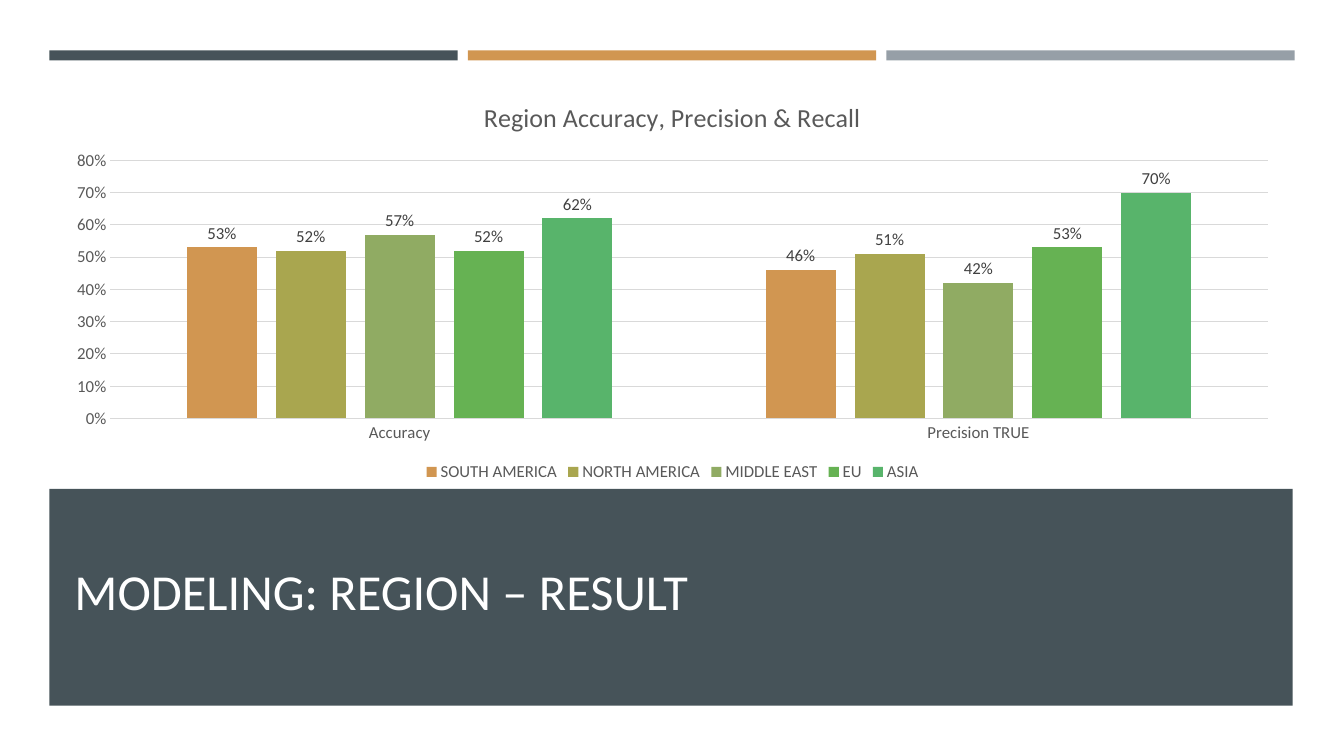
"""Build the slide with the region accuracy and precision chart."""
from dataclasses import dataclass

from pptx import Presentation
from pptx.chart.data import CategoryChartData
from pptx.dml.color import RGBColor
from pptx.enum.chart import XL_CHART_TYPE, XL_LABEL_POSITION, XL_LEGEND_POSITION, XL_TICK_MARK
from pptx.enum.shapes import MSO_SHAPE
from pptx.enum.text import MSO_ANCHOR
from pptx.util import Inches, Pt

RECTANGLE = MSO_SHAPE.RECTANGLE
BOTTOM = MSO_ANCHOR.BOTTOM
COLUMNS = XL_CHART_TYPE.COLUMN_CLUSTERED
OUTSIDE_END = XL_LABEL_POSITION.OUTSIDE_END
LEGEND_BOTTOM = XL_LEGEND_POSITION.BOTTOM
NO_TICK = XL_TICK_MARK.NONE

FONT = "Calibri"
SLATE, ORANGE, SILVER, WHITE = "465359", "D19651", "969FA7", "FFFFFF"
TEXT_GREY, LABEL_GREY, LINE_GREY = "595959", "404040", "D9D9D9"
PAGE_WIDTH, PAGE_HEIGHT = 13.33, 7.5
MARGIN, STRIPE_WIDTH, STRIPE_GAP = 0.49, 4.05, 0.1
PERCENT = "0%"


@dataclass(frozen=True)
class Area:
    left: float
    top: float
    width: float
    height: float

    def lengths(self) -> tuple:
        return tuple(Inches(side) for side in (self.left, self.top, self.width, self.height))


@dataclass(frozen=True)
class Region:
    name: str
    color: str
    values: tuple


CATEGORIES = ("Accuracy", "Precision TRUE")
REGIONS = (
    Region("SOUTH AMERICA", ORANGE, (0.53, 0.46)),
    Region("NORTH AMERICA", "A9A64F", (0.52, 0.51)),
    Region("MIDDLE EAST", "90AB63", (0.57, 0.42)),
    Region("EU", "66B253", (0.52, 0.53)),
    Region("ASIA", "58B46B", (0.62, 0.7)),
)


def rgb(color: str) -> RGBColor:
    return RGBColor.from_string(color)


def style_font(font, size: float, color: str) -> None:
    font.name = FONT
    font.size = Pt(size)
    font.bold = False
    font.color.rgb = rgb(color)


def style_line(line) -> None:
    line.color.rgb = rgb(LINE_GREY)
    line.width = Pt(0.75)


def draw_bar(page, area: Area, color: str) -> None:
    bar = page.shapes.add_shape(RECTANGLE, *area.lengths())
    bar.shadow.inherit = False
    bar.fill.solid()
    bar.fill.fore_color.rgb = rgb(color)
    bar.line.fill.background()


def draw_heading(page, area: Area, text: str) -> None:
    frame = page.shapes.add_textbox(*area.lengths()).text_frame
    frame.word_wrap = True
    frame.vertical_anchor = BOTTOM
    frame.text = text
    paragraph = frame.paragraphs[0]
    paragraph.line_spacing = 0.9
    style_font(paragraph.runs[0].font, 36, WHITE)


def draw_chart(page, area: Area, title: str) -> None:
    data = CategoryChartData(number_format=PERCENT)
    data.categories = CATEGORIES
    for region in REGIONS:
        data.add_series(region.name, region.values)
    chart = page.shapes.add_chart(COLUMNS, *area.lengths(), data).chart
    style_font(chart.font, 12, TEXT_GREY)

    chart.has_title = True
    chart.chart_title.include_in_layout = False
    chart.chart_title.text_frame.text = title
    style_font(chart.chart_title.text_frame.paragraphs[0].runs[0].font, 18.6, TEXT_GREY)

    chart.has_legend = True
    chart.legend.position = LEGEND_BOTTOM
    chart.legend.include_in_layout = False
    style_font(chart.legend.font, 12, TEXT_GREY)

    for axis in (chart.category_axis, chart.value_axis):
        axis.major_tick_mark = axis.minor_tick_mark = NO_TICK
        style_font(axis.tick_labels.font, 12, TEXT_GREY)
    style_line(chart.category_axis.format.line)
    scale = chart.value_axis
    scale.format.line.fill.background()
    style_line(scale.major_gridlines.format.line)
    scale.minimum_scale, scale.maximum_scale, scale.major_unit = 0, 0.8, 0.1
    scale.tick_labels.number_format = PERCENT
    scale.tick_labels.number_format_is_linked = False

    plot = chart.plots[0]
    plot.gap_width, plot.overlap = 219, -27
    plot.vary_by_categories = False
    for series, region in zip(plot.series, REGIONS):
        series.format.fill.solid()
        series.format.fill.fore_color.rgb = rgb(region.color)
        labels = series.data_labels
        labels.show_value = True
        labels.position = OUTSIDE_END
        labels.number_format = PERCENT
        labels.number_format_is_linked = False
        style_font(labels.font, 12, LABEL_GREY)


def main() -> None:
    deck = Presentation()
    deck.slide_width, deck.slide_height = Inches(PAGE_WIDTH), Inches(PAGE_HEIGHT)
    page = deck.slides.add_slide(deck.slide_layouts[6])
    for column, color in enumerate((SLATE, ORANGE, SILVER)):
        left = MARGIN + column * (STRIPE_WIDTH + STRIPE_GAP)
        draw_bar(page, Area(left, 0.5, STRIPE_WIDTH, 0.1), color)
    draw_bar(page, Area(MARGIN, 4.85, 12.33, 2.15), SLATE)
    draw_heading(page, Area(0.64, 5.04, 12.02, 1.17), "MODELING: REGION – RESULT")
    draw_chart(page, Area(0.52, 0.8, 12.3, 4.02), "Region Accuracy, Precision & Recall")
    deck.save("out.pptx")


main()
